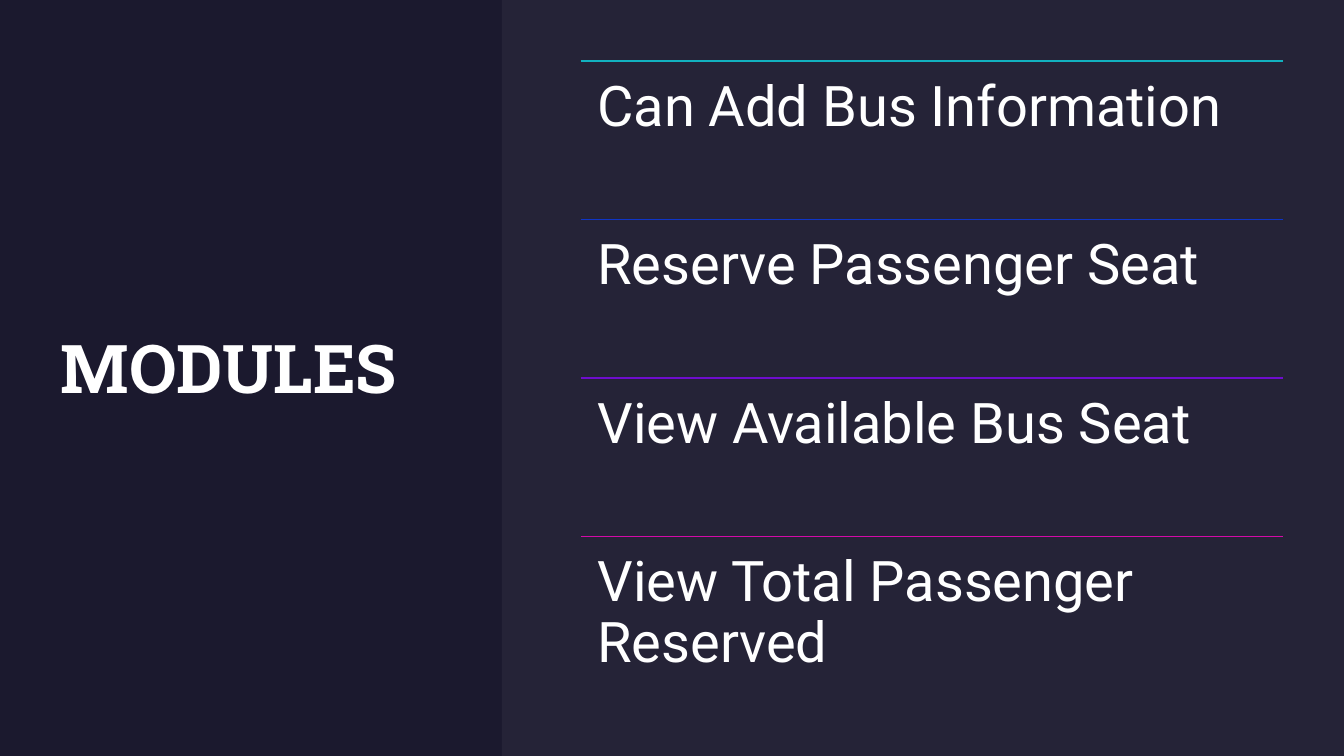
from dataclasses import dataclass

from lxml.etree import SubElement
from pptx import Presentation
from pptx.dml.color import RGBColor
from pptx.enum.shapes import MSO_CONNECTOR, MSO_SHAPE
from pptx.enum.text import MSO_ANCHOR as Anchor, MSO_AUTO_SIZE as AutoSize, PP_ALIGN as Align
from pptx.oxml.ns import qn
from pptx.slide import Slide
from pptx.text.text import TextFrame
from pptx.util import Emu, Pt

PX = 9525
SLIDE_W, SLIDE_H = 1280, 720
MARGIN = 58
TITLE_W, TITLE_H = 374, 582
PANEL_X = 478
LIST_X, LIST_W = 553, 669
ROW_H = 151
INSET = 16

NIGHT = RGBColor(0x1B, 0x19, 0x2E)
LAVENDER = RGBColor(0xE4, 0xE3, 0xF0)
WHITE = RGBColor(0xFF, 0xFF, 0xFF)
TEAL = RGBColor(0x12, 0xB1, 0xBF)
BLUE = RGBColor(0x0F, 0x35, 0xC6)
PURPLE = RGBColor(0x6E, 0x0D, 0xCD)
MAGENTA = RGBColor(0xD4, 0x0A, 0xA8)


@dataclass(frozen=True)
class Module:
    text: str
    color: RGBColor


MODULES = [
    Module("Can Add Bus Information", TEAL),
    Module("Reserve Passenger Seat", BLUE),
    Module("View Available Bus Seat", PURPLE),
    Module("View Total Passenger Reserved", MAGENTA),
]


def px(n: int) -> Emu:
    return Emu(n * PX)


def set_text(tf: TextFrame, text: str, font: str, size: int, bold: bool,
             inset: int, anchor: Anchor, spacing: float) -> None:
    tf.word_wrap = True
    tf.auto_size = AutoSize.NONE
    tf.vertical_anchor = anchor
    tf.margin_left = tf.margin_top = tf.margin_right = tf.margin_bottom = px(inset)
    p = tf.paragraphs[0]
    p.alignment = Align.LEFT
    p.line_spacing = spacing
    r = p.add_run()
    r.text = text
    r.font.name = font
    r.font.size = Pt(size)
    r.font.bold = bold
    r.font.color.rgb = WHITE


def add_title(s: Slide, text: str) -> None:
    sp = s.shapes.title
    sp.left, sp.top = px(MARGIN), px(MARGIN)
    sp.width, sp.height = px(TITLE_W), px(TITLE_H)
    set_text(sp.text_frame, text, "Roboto Slab", 48, True, 0, Anchor.MIDDLE, 1.0)


def add_panel(s: Slide) -> None:
    sp = s.shapes.add_shape(MSO_SHAPE.RECTANGLE, px(PANEL_X), 0,
                            px(SLIDE_W - PANEL_X), px(SLIDE_H))
    sp.shadow.inherit = False
    sp.line.fill.background()
    sp.fill.solid()
    sp.fill.fore_color.rgb = LAVENDER
    color = sp.fill._xPr.find(qn("a:solidFill")).find(qn("a:srgbClr"))
    SubElement(color, qn("a:alpha"), val="5000")


def add_module(s: Slide, module: Module, top: int) -> None:
    y = px(top)
    rule = s.shapes.add_connector(MSO_CONNECTOR.STRAIGHT, px(LIST_X), y,
                                  px(LIST_X + LIST_W), y)
    rule.line.color.rgb = module.color
    rule.line.width = Pt(1)
    SubElement(rule._element.spPr, qn("a:effectLst"))
    box = s.shapes.add_textbox(px(LIST_X), y, px(LIST_W), px(ROW_H))
    set_text(box.text_frame, module.text, "Roboto", 40, False, INSET, Anchor.TOP, 0.9)


def main() -> None:
    prs = Presentation()
    prs.slide_width, prs.slide_height = px(SLIDE_W), px(SLIDE_H)
    s = prs.slides.add_slide(prs.slide_layouts[5])
    s.background.fill.solid()
    s.background.fill.fore_color.rgb = NIGHT
    add_title(s, "MODULES")
    add_panel(s)
    for i, module in enumerate(MODULES):
        add_module(s, module, MARGIN + i * ROW_H)
    prs.save("out.pptx")


if __name__ == "__main__":
    main()
